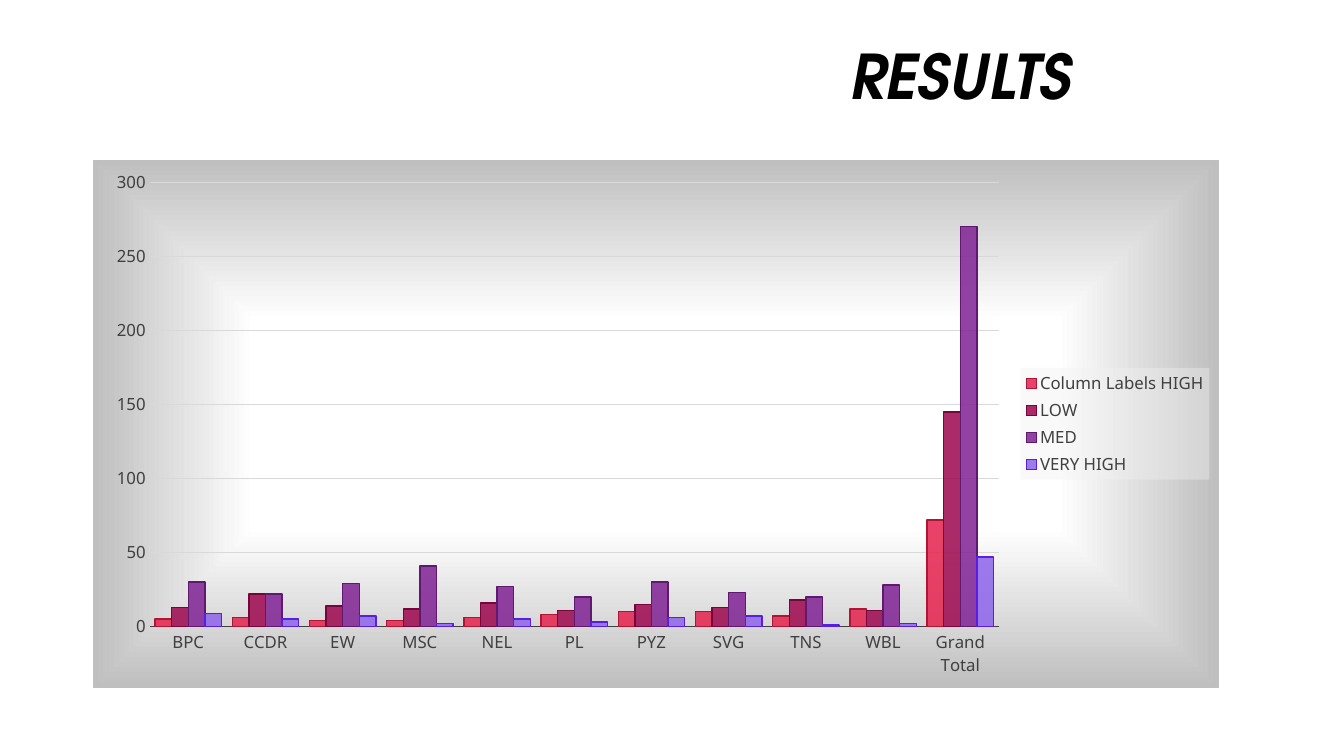
from dataclasses import dataclass

from lxml import etree
from pptx import Presentation
from pptx import util as u
from pptx.chart.data import CategoryChartData
from pptx.dml.color import RGBColor
from pptx.enum import chart as ch, text
from pptx.oxml import parse_xml
from pptx.oxml.ns import nsdecls, qn

WIDE, HIGH = u.Inches(13.33), u.Inches(7.5)
BODY, HEAD = "Noto Sans", "TeX Gyre Adventor"
INK, GRID, EDGE = "404040", "D9D9D9", "BFBFBF"
CATS = ["BPC", "CCDR", "EW", "MSC", "NEL", "PL", "PYZ", "SVG", "TNS", "WBL",
        "Grand Total"]


@dataclass
class Level:
    name: str
    fill: str
    line: str
    vals: list[int]


@dataclass
class Box:
    """A frame in shares of what holds it."""
    x: float
    y: float
    w: float
    h: float


LEVELS = [
    Level("Column Labels HIGH", "E5224E", "B11536",
          [5, 6, 4, 4, 6, 8, 10, 10, 7, 12, 72]),
    Level("LOW", "9D074E", "75053A",
          [13, 22, 14, 12, 16, 11, 15, 13, 18, 11, 145]),
    Level("MED", "7F2294", "5F196F",
          [30, 22, 29, 41, 27, 20, 30, 23, 20, 28, 270]),
    Level("VERY HIGH", "8D65EA", "591EDE",
          [9, 5, 7, 2, 5, 3, 6, 7, 1, 2, 47]),
]
TITLE = Box(0.625, 0.044, 0.369, 0.112)
CHART = Box(0.069, 0.211, 0.838, 0.699)
PLOT = Box(0.05, 0.042, 0.755, 0.843)
KEY = Box(0.824, 0.394, 0.168, 0.212)


def rgb(code: str) -> RGBColor:
    return RGBColor.from_string(code)


def place(box: Box) -> list[int]:
    return [int(box.x * WIDE), int(box.y * HIGH),
            int(box.w * WIDE), int(box.h * HIGH)]


def apply(item, form: dict) -> None:
    for key, val in form.items():
        setattr(item, key, val)


def style(font, name: str, size: float, code: str, **more) -> None:
    apply(font, {"name": name, "size": u.Pt(size), **more})
    font.color.rgb = rgb(code)


def stroke(line, code: str) -> None:
    line.color.rgb = rgb(code)
    line.width = u.Pt(1)


def layout(box: Box, inner: bool) -> etree._Element:
    """Fixed place of a chart part, in shares of the chart."""
    goal = '<c:layoutTarget val="inner"/>' if inner else ""
    modes = "".join(f'<c:{k}Mode val="edge"/>' for k in "xy")
    nums = "".join(f'<c:{k} val="{getattr(box, k)}"/>' for k in "xywh")
    return parse_xml(f'<c:layout {nsdecls("c")}><c:manualLayout>{goal}{modes}'
                     f'{nums}</c:manualLayout></c:layout>')


def panel(paint: str) -> etree._Element:
    return parse_xml(f'<c:spPr {nsdecls("c", "a")}>{paint}</c:spPr>')


def shade() -> str:
    """Gradient that darkens from the middle to the edges."""
    stops = "".join(
        f'<a:gs pos="{pos * 1000}"><a:srgbClr val="{code}"/></a:gs>'
        for pos, code in [(0, "FFFFFF"), (39, "FFFFFF"), (100, EDGE)])
    rect = " ".join(f'{side}="50000"' for side in "ltrb")
    return (f'<a:gradFill><a:gsLst>{stops}</a:gsLst><a:path path="rect">'
            f'<a:fillToRect {rect}/></a:path></a:gradFill><a:ln w="12700">'
            f'<a:solidFill><a:srgbClr val="{EDGE}"/></a:solidFill></a:ln>')


def bars(plot) -> None:
    apply(plot, {"gap_width": 65, "overlap": 0, "vary_by_categories": False})
    for level, item in zip(LEVELS, plot.series):
        item.invert_if_negative = False
        item.format.fill.solid()
        item.format.fill.fore_color.rgb = rgb(level.fill)
        tint = item.format.fill._xPr.find(".//" + qn("a:srgbClr"))
        etree.SubElement(tint, qn("a:alpha"), val="85000")
        stroke(item.format.line, level.line)


def axes(chart) -> None:
    for axis in (chart.category_axis, chart.value_axis):
        apply(axis, {"major_tick_mark": ch.XL_TICK_MARK.NONE,
                     "minor_tick_mark": ch.XL_TICK_MARK.NONE})
        style(axis.tick_labels.font, BODY, 12, INK)
    stroke(chart.category_axis.format.line, INK)
    apply(chart.value_axis, {"minimum_scale": 0, "maximum_scale": 300,
                             "major_unit": 50, "has_major_gridlines": True})
    chart.value_axis.format.line.fill.background()
    stroke(chart.value_axis.major_gridlines.format.line, GRID)


def legend(chart) -> None:
    chart.has_legend = True
    key = chart.legend
    apply(key, {"position": ch.XL_LEGEND_POSITION.RIGHT,
                "include_in_layout": False})
    style(key.font, BODY, 12, INK)
    root = key._element
    for old in root.findall(qn("c:layout")):
        root.remove(old)
    root.find(qn("c:legendPos")).addnext(layout(KEY, False))
    root.find(qn("c:overlay")).addnext(panel(
        '<a:solidFill><a:srgbClr val="F2F2F2"><a:alpha val="39000"/>'
        '</a:srgbClr></a:solidFill><a:ln><a:noFill/></a:ln>'))


def draw(slide) -> None:
    data = CategoryChartData()
    data.categories = CATS
    for level in LEVELS:
        data.add_series(level.name, level.vals)
    chart = slide.shapes.add_chart(
        ch.XL_CHART_TYPE.COLUMN_CLUSTERED, *place(CHART), data).chart
    chart.has_title = False
    style(chart.font, BODY, 10, "000000")
    bars(chart.plots[0])
    axes(chart)
    legend(chart)
    root = chart._chartSpace.find(qn("c:chart"))
    root.addnext(panel(shade()))
    area = root.find(qn("c:plotArea"))
    for old in area.findall(qn("c:layout")):
        area.remove(old)
    area.insert(0, layout(PLOT, True))


def head(slide) -> None:
    title = slide.shapes.title
    apply(title, dict(zip(("left", "top", "width", "height"), place(TITLE))))
    frame = title.text_frame
    frame.text = "RESULTS"
    apply(frame, {"word_wrap": True, "auto_size": text.MSO_AUTO_SIZE.NONE,
                  "vertical_anchor": text.MSO_ANCHOR.TOP})
    line = frame.paragraphs[0]
    apply(line, {"alignment": text.PP_ALIGN.LEFT, "line_spacing": 1.0,
                 "space_before": u.Pt(0)})
    style(line.runs[0].font, HEAD, 44, "000000", bold=True, italic=True)


def main() -> None:
    deck = Presentation()
    apply(deck, {"slide_width": WIDE, "slide_height": HIGH})
    slide = deck.slides.add_slide(deck.slide_layouts[5])
    draw(slide)
    head(slide)
    deck.save("out.pptx")


if __name__ == "__main__":
    main()
